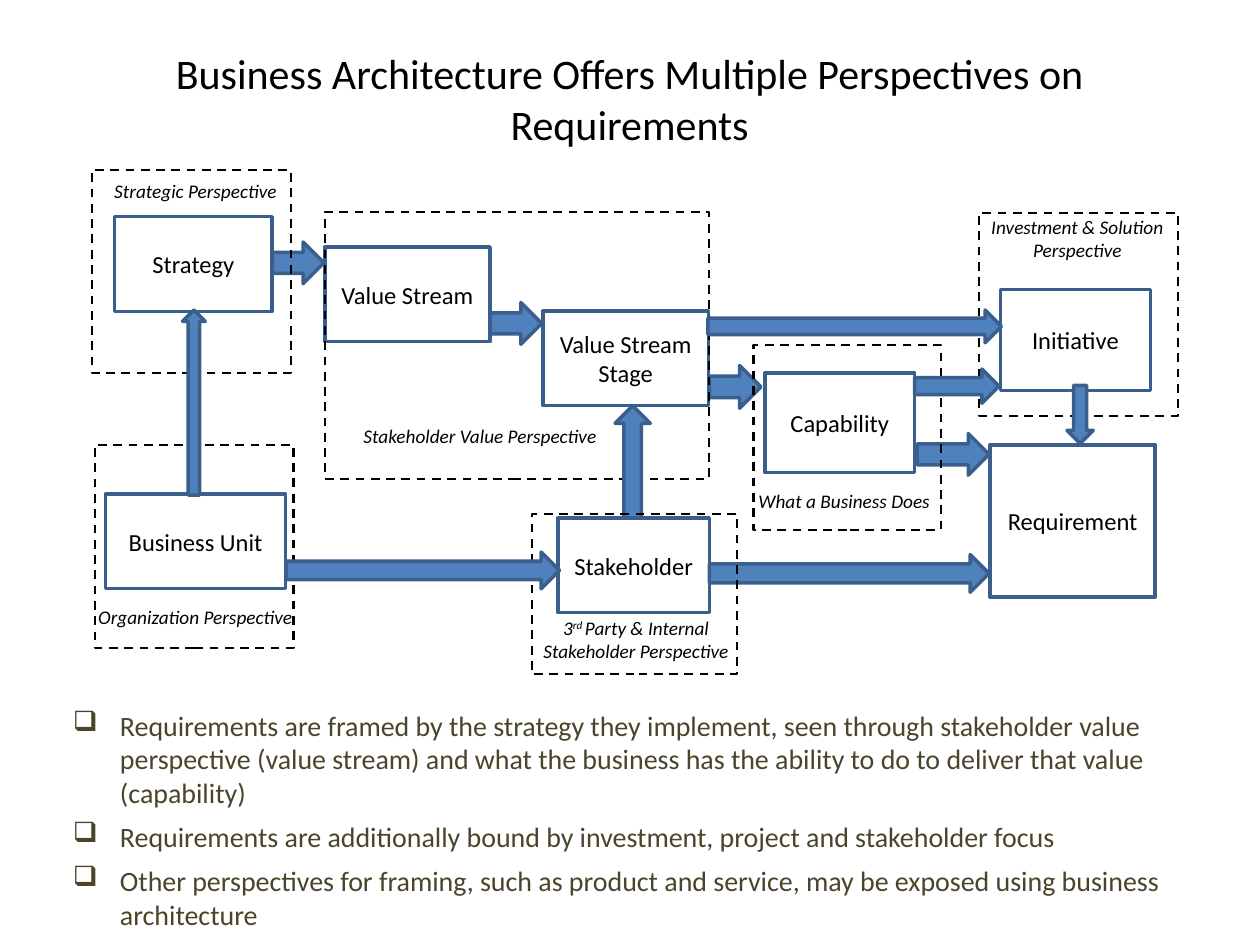
from dataclasses import dataclass

from lxml.etree import SubElement
from pptx import Presentation
from pptx.dml.color import RGBColor
from pptx.enum.dml import MSO_LINE
from pptx.enum.shapes import MSO_SHAPE
from pptx.enum.text import MSO_ANCHOR, PP_ALIGN
from pptx.oxml.ns import qn
from pptx.shapes.autoshape import Shape
from pptx.slide import Slide
from pptx.util import Cm, Pt

FONT = "Calibri"
BLACK = RGBColor(0x00, 0x00, 0x00)
BLUE = RGBColor(0x4F, 0x81, 0xBD)
DARK_BLUE = RGBColor(0x3A, 0x5F, 0x8C)
OLIVE = RGBColor(0x4A, 0x45, 0x2A)
BULLET_INDENT = Cm(0.95)

RIGHT, UP, DOWN = MSO_SHAPE.RIGHT_ARROW, MSO_SHAPE.UP_ARROW, MSO_SHAPE.DOWN_ARROW


@dataclass
class Area:
    left: float
    top: float
    width: float
    height: float

    def lengths(self) -> tuple:
        return Cm(self.left), Cm(self.top), Cm(self.width), Cm(self.height)


@dataclass
class Box(Area):
    label: str


@dataclass
class Arrow(Area):
    direction: MSO_SHAPE = RIGHT


@dataclass
class Frame(Area):
    width: float = 4.01
    height: float = 4.09


@dataclass
class Caption(Area):
    lines: tuple
    ordinal: str = ""


TITLE = Area(1.75, 0.84, 21.89, 1.5)
TITLE_TEXT = "Business Architecture Offers Multiple Perspectives on Requirements"
BODY = Area(1.22, 14.15, 23.55, 4.65)
POINTS = [
    "Requirements are framed by the strategy they implement, seen through stakeholder value "
    "perspective (value stream) and what the business has the ability to do to deliver that "
    "value (capability)",
    "Requirements are additionally bound by investment, project and stakeholder focus",
    "Other perspectives for framing, such as product and service, may be exposed using "
    "business architecture",
]
DIAGRAM = [
    Box(2.31, 4.37, 3.18, 1.91, "Strategy"),
    Box(19.96, 8.97, 3.33, 3.07, "Requirement"),
    Box(11.25, 10.44, 3.05, 1.91, "Stakeholder"),
    Box(6.55, 4.98, 3.33, 1.91, "Value Stream"),
    Box(15.42, 7.52, 3.02, 2.01, "Capability"),
    Box(10.95, 6.27, 3.33, 1.91, "Value Stream Stage"),
    Arrow(9.88, 6.1, 1.04, 0.84),
    Arrow(14.3, 7.37, 1.04, 0.86),
    Arrow(5.49, 4.88, 1.04, 0.84),
    Arrow(18.49, 8.74, 1.45, 0.84),
    Frame(6.55, 4.27, 7.75, 5.38),
    Frame(15.19, 6.96, 3.78, 3.73),
    Arrow(12.4, 8.18, 0.71, 2.26, UP),
    Arrow(14.3, 11.18, 5.64, 0.76),
    Frame(19.74, 4.29),
    Box(20.17, 5.84, 3.02, 2.03, "Initiative"),
    Arrow(21.51, 7.77, 0.53, 1.17, DOWN),
    Frame(1.85, 3.43),
    Frame(10.72, 10.36, 4.14, 3.23),
    Arrow(14.27, 6.25, 5.92, 0.66),
    Arrow(18.44, 7.44, 1.7, 0.69),
    Box(2.13, 9.96, 3.63, 1.91, "Business Unit"),
    Frame(1.91, 8.97),
    Arrow(3.68, 6.25, 0.46, 3.73, UP),
    Arrow(5.77, 11.13, 5.51, 0.74),
    Caption(1.22, 12.07, 5.44, 0.74, ("Organization Perspective",)),
    Caption(6.96, 8.43, 5.44, 1.19, ("Stakeholder Value Perspective",)),
    Caption(14.3, 9.73, 5.44, 0.74, ("What a Business Does",)),
    Caption(19, 4.22, 5.44, 1.19, ("Investment & Solution", "Perspective")),
    Caption(1.8, 3.48, 4.29, 0.74, ("Strategic Perspective",)),
    Caption(10.21, 12.29, 5.23, 1.19,
            ("3rd Party & Internal Stakeholder Perspective",), ordinal="rd "),
]


def style(paragraph, size: float, color: RGBColor = BLACK, italic: bool = False) -> None:
    font = paragraph.font
    font.name, font.size, font.italic = FONT, Pt(size), italic
    font.color.rgb = color


def add_preset(slide: Slide, area: Area, preset: MSO_SHAPE, color: RGBColor, weight: float) -> Shape:
    shape = slide.shapes.add_shape(preset, *area.lengths())
    shape.shadow.inherit = False
    shape.fill.background()
    shape.line.color.rgb = color
    shape.line.width = Pt(weight)
    return shape


def add_text_frame(slide: Slide, area: Area):
    text_frame = slide.shapes.add_textbox(*area.lengths()).text_frame
    text_frame.word_wrap = True
    return text_frame


def draw_box(slide: Slide, box: Box) -> None:
    text_frame = add_preset(slide, box, MSO_SHAPE.RECTANGLE, DARK_BLUE, 2).text_frame
    text_frame.word_wrap = True
    text_frame.vertical_anchor = MSO_ANCHOR.MIDDLE
    paragraph = text_frame.paragraphs[0]
    paragraph.text = box.label
    paragraph.alignment = PP_ALIGN.CENTER
    style(paragraph, 14)


def draw_arrow(slide: Slide, arrow: Arrow) -> None:
    shape = add_preset(slide, arrow, arrow.direction, DARK_BLUE, 2)
    shape.fill.solid()
    shape.fill.fore_color.rgb = BLUE


def draw_frame(slide: Slide, frame: Frame) -> None:
    shape = add_preset(slide, frame, MSO_SHAPE.RECTANGLE, BLACK, 1.25)
    shape.line.dash_style = MSO_LINE.DASH


def draw_caption(slide: Slide, caption: Caption) -> None:
    text_frame = add_text_frame(slide, caption)
    text_frame.text = "\n".join(caption.lines)
    for paragraph in text_frame.paragraphs:
        if caption.ordinal:
            parts = paragraph.text.partition(caption.ordinal)
            paragraph.clear()
            runs = [paragraph.add_run() for _ in parts]
            for run, part in zip(runs, parts):
                run.text = part
            runs[1].font._element.set("baseline", "30000")
        paragraph.alignment = PP_ALIGN.CENTER
        style(paragraph, 11, italic=True)


def draw_title(slide: Slide) -> None:
    paragraph = add_text_frame(slide, TITLE).paragraphs[0]
    paragraph.text = TITLE_TEXT
    paragraph.alignment = PP_ALIGN.CENTER
    style(paragraph, 24)


def draw_points(slide: Slide) -> None:
    text_frame = add_text_frame(slide, BODY)
    text_frame.text = "\n".join(POINTS)
    for index, paragraph in enumerate(text_frame.paragraphs):
        properties = paragraph._p.get_or_add_pPr()
        properties.set("marL", str(BULLET_INDENT))
        properties.set("indent", str(-BULLET_INDENT))
        SubElement(properties, qn("a:buChar"), char="❑")
        if index:
            paragraph.space_before = Pt(6)
        style(paragraph, 16, OLIVE)


def main() -> None:
    """Build the slide on business architecture perspectives."""
    presentation = Presentation()
    presentation.slide_width, presentation.slide_height = Cm(25.4), Cm(19.05)
    slide = presentation.slides.add_slide(presentation.slide_layouts[6])
    draw_title(slide)
    draw_points(slide)
    painters = {Box: draw_box, Arrow: draw_arrow, Frame: draw_frame, Caption: draw_caption}
    for element in DIAGRAM:
        painters[type(element)](slide, element)
    presentation.save("out.pptx")


if __name__ == "__main__":
    main()
